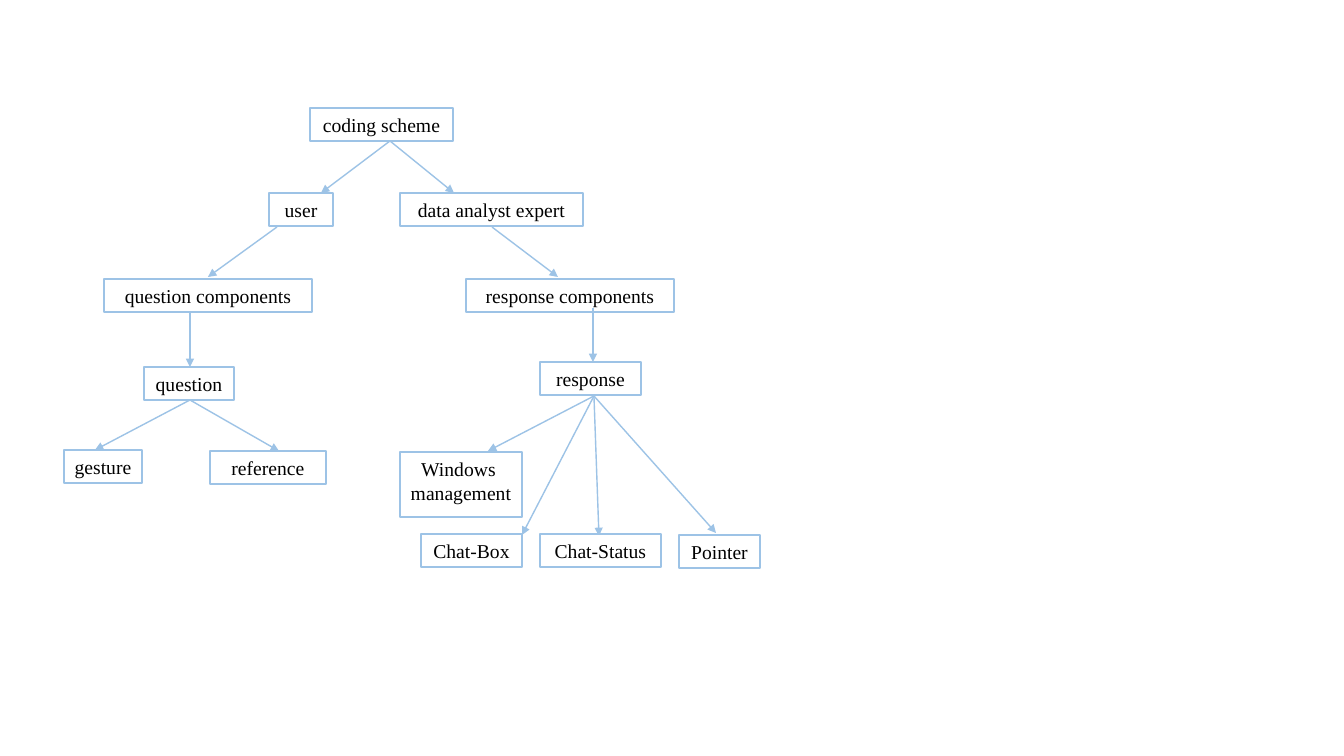
import pptx
import pptx.dml.color
import pptx.enum.shapes
import pptx.enum.text
import pptx.oxml.ns
import pptx.util
from lxml import etree

EMU_PER_PIXEL = 914400 / 100.8
SLIDE_SIZE = (1344, 756)
BOX_HEIGHT = 33
FONT = "Times New Roman"
WHITE = pptx.dml.color.RGBColor(0xFF, 0xFF, 0xFF)
BLACK = pptx.dml.color.RGBColor(0x00, 0x00, 0x00)
LIGHT_BLUE = pptx.dml.color.RGBColor(0x9D, 0xC3, 0xE6)

COMPONENTS = [
    ("question components", 104, 279, 208),
    ("response components", 466, 279, 208),
]
CODES = [
    ("coding scheme", 310, 108, 143),
    ("user", 269, 193, 64),
    ("data analyst expert", 400, 193, 183),
    ("question", 144, 367, 90),
    ("response", 540, 362, 101),
    ("gesture", 64, 450, 78),
    ("reference", 210, 451, 116),
    ("Windows \nmanagement", 400, 452, 122, 65),
    ("Chat-Box", 421, 534, 101),
    ("Chat-Status", 540, 534, 121),
    ("Pointer", 679, 535, 81),
]
BRANCHES = [
    ((390, 141), [(321, 193), (454, 193)]),
    ((277, 227), [(208, 277)]),
    ((492, 227), [(558, 277)]),
    ((190, 312), [(190, 367)]),
    ((593, 308), [(593, 362)]),
    ((190, 400), [(95, 450), (279, 451)]),
    ((594, 396), [(488, 451), (522, 535), (599, 536), (716, 533)]),
]


def px(*lengths):
    return [pptx.util.Emu(round(length * EMU_PER_PIXEL)) for length in lengths]


def style_line(line):
    line.color.rgb = LIGHT_BLUE
    line.width = pptx.util.Pt(1)


def add_box(slide, label, left, top, width, height=BOX_HEIGHT):
    box = slide.shapes.add_shape(
        pptx.enum.shapes.MSO_SHAPE.RECTANGLE, *px(left, top, width, height)
    )
    box.shadow.inherit = False
    box.fill.solid()
    box.fill.fore_color.rgb = WHITE
    style_line(box.line)
    frame = box.text_frame
    frame.word_wrap = False
    frame.vertical_anchor = pptx.enum.text.MSO_ANCHOR.TOP
    frame.text = label
    for paragraph in frame.paragraphs:
        paragraph.alignment = pptx.enum.text.PP_ALIGN.CENTER
        paragraph.font.name = FONT
        paragraph.font.size = pptx.util.Pt(14)
        paragraph.font.color.rgb = BLACK


def add_arrow(slide, start, end):
    arrow = slide.shapes.add_connector(
        pptx.enum.shapes.MSO_CONNECTOR.STRAIGHT, *px(*start, *end)
    )
    style_line(arrow.line)
    properties = arrow._element.spPr
    outline = properties.find(pptx.oxml.ns.qn("a:ln"))
    etree.SubElement(outline, pptx.oxml.ns.qn("a:tailEnd"), type="triangle")
    etree.SubElement(properties, pptx.oxml.ns.qn("a:effectLst"))


def main():
    presentation = pptx.Presentation()
    presentation.slide_width, presentation.slide_height = px(*SLIDE_SIZE)
    blank_layout = presentation.slide_layouts.get_by_name("Blank")
    slide = presentation.slides.add_slide(blank_layout)
    for component in COMPONENTS:
        add_box(slide, *component)
    for parent, children in BRANCHES:
        for child in children:
            add_arrow(slide, parent, child)
    for code in CODES:
        add_box(slide, *code)
    presentation.save("out.pptx")


main()
